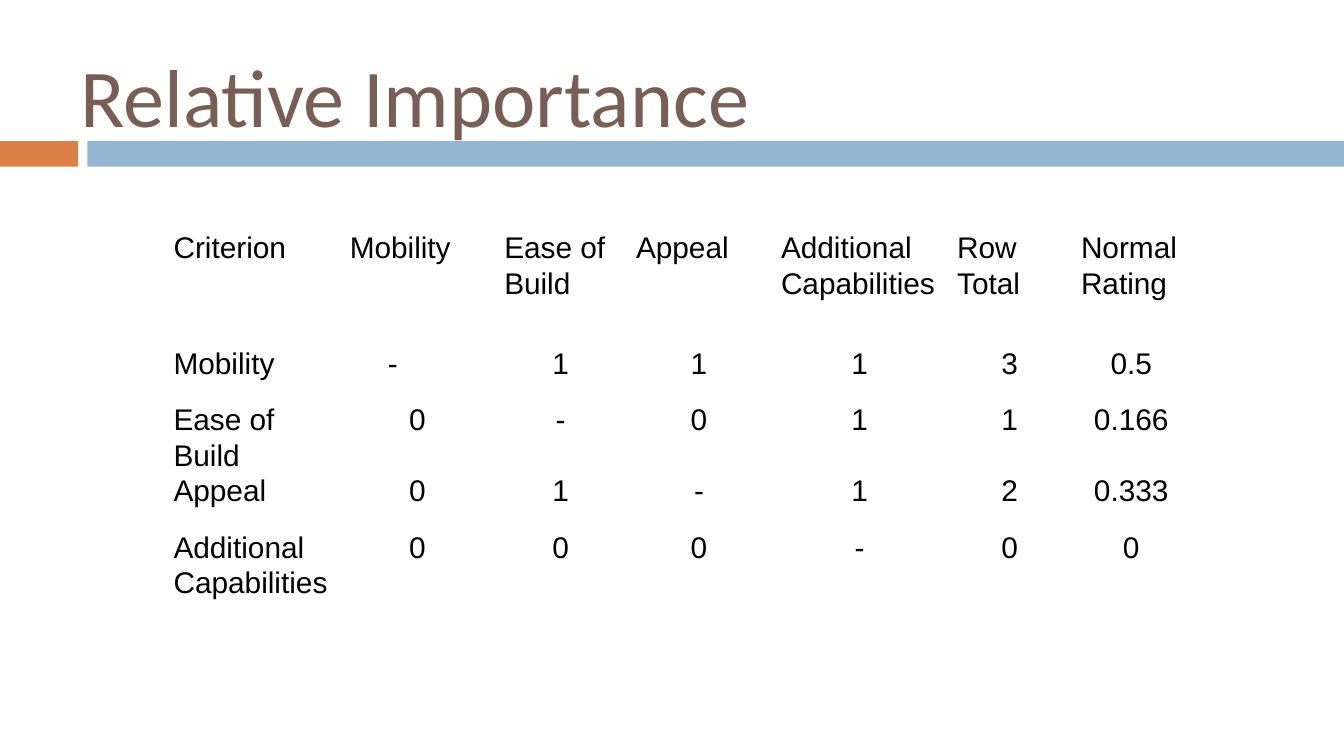
"""Build the Relative Importance slide with its criterion comparison table."""
from pptx import Presentation
from pptx.dml.color import RGBColor
from pptx.enum.shapes import MSO_SHAPE
from pptx.enum.text import MSO_ANCHOR, PP_ALIGN
from pptx.util import Cm, Pt

TITLE = "Relative Importance"
RATINGS = [
    ("Criterion", "Mobility", "Ease of Build", "Appeal",
     "Additional Capabilities", "Row Total", "Normal Rating"),
    ("Mobility", "-", "1", "1", "1", "3", "0.5"),
    ("Ease of Build", "0", "-", "0", "1", "1", "0.166"),
    ("Appeal", "0", "1", "-", "1", "2", "0.333"),
    ("Additional Capabilities", "0", "0", "0", "-", "0", "0"),
]
COLUMN_WIDTHS = (3.33, 2.92, 2.49, 2.74, 3.33, 2.34, 2.26)
ROW_HEIGHTS = (2.18, 1.07, 1.07, 1.07, 2.18)
BANDS = [(0, 1.48, "DD8047"), (1.65, 23.75, "94B6D2")]
CELL_INSET = 0.18
FIRST_DASH_INSET = 1.11


def style(paragraph, font_name, size, color, align):
    paragraph.alignment = align
    paragraph.font.name = font_name
    paragraph.font.size = Pt(size)
    paragraph.font.color.rgb = RGBColor.from_string(color)


def add_band(slide, left, width, color):
    band = slide.shapes.add_shape(
        MSO_SHAPE.RECTANGLE, Cm(left), Cm(2.67), Cm(width), Cm(0.48))
    band.shadow.inherit = False
    band.fill.solid()
    band.fill.fore_color.rgb = RGBColor.from_string(color)
    band.line.fill.background()


def set_title(slide):
    title = slide.shapes.title
    title.left, title.top, title.width, title.height = map(
        Cm, (1.27, 0.58, 22.86, 2.39))
    frame = title.text_frame
    frame.text = TITLE
    frame.vertical_anchor = MSO_ANCHOR.BOTTOM
    frame.margin_left = frame.margin_right = Cm(0.25)
    frame.margin_top = frame.margin_bottom = Cm(0.25)
    style(frame.paragraphs[0], "Calibri", 44, "775F55", PP_ALIGN.LEFT)


def add_ratings(slide):
    table = slide.shapes.add_table(
        len(RATINGS), len(COLUMN_WIDTHS), Cm(3.1), Cm(4.34),
        Cm(sum(COLUMN_WIDTHS)), Cm(sum(ROW_HEIGHTS))).table
    table.first_row = table.horz_banding = False
    for column, width in zip(table.columns, COLUMN_WIDTHS):
        column.width = Cm(width)
    for row, height in zip(table.rows, ROW_HEIGHTS):
        row.height = Cm(height)
    for r, ratings in enumerate(RATINGS):
        for c, rating in enumerate(ratings):
            cell = table.cell(r, c)
            cell.text = rating
            cell.fill.background()
            cell.margin_left = cell.margin_right = Cm(CELL_INSET)
            cell.margin_top = cell.margin_bottom = 0
            paragraph = cell.text_frame.paragraphs[0]
            paragraph.line_spacing = 1.07
            align = PP_ALIGN.CENTER if r and c else PP_ALIGN.LEFT
            style(paragraph, "Arial", 16, "000000", align)
    table.cell(1, 1).margin_right = Cm(FIRST_DASH_INSET)


def main():
    presentation = Presentation()
    presentation.slide_width, presentation.slide_height = Cm(25.4), Cm(14.29)
    slide = presentation.slides.add_slide(presentation.slide_layouts[5])
    for band in BANDS:
        add_band(slide, *band)
    set_title(slide)
    add_ratings(slide)
    presentation.save("out.pptx")


if __name__ == "__main__":
    main()
